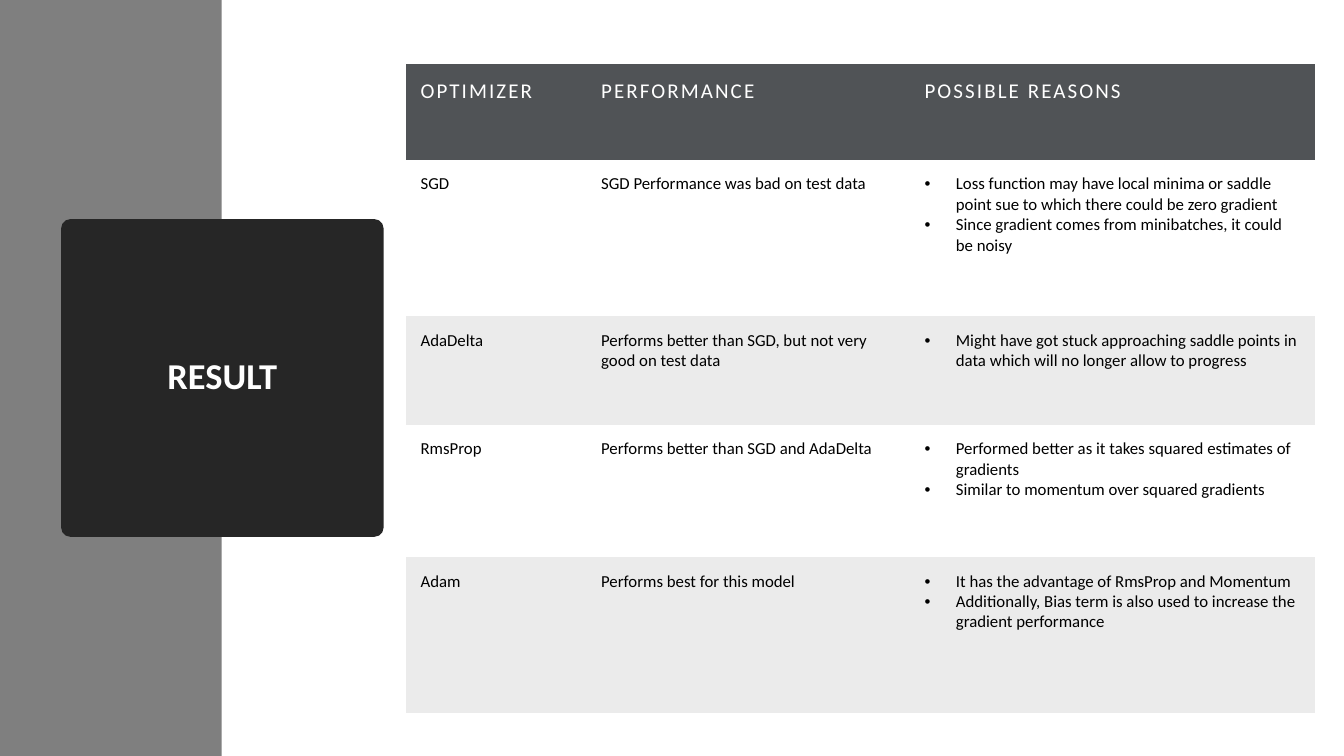
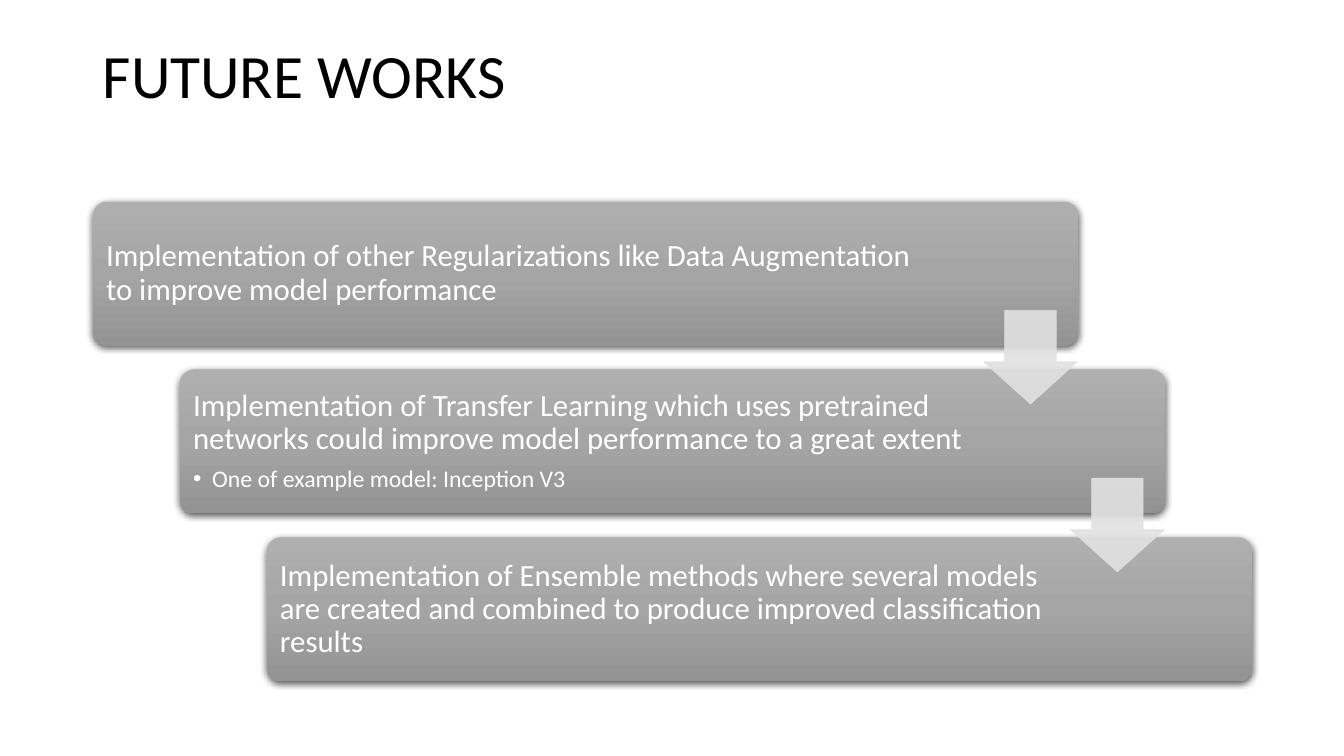
"""Builds the optimizer result table and the future works staircase."""
from lxml.etree import SubElement
from pptx import Presentation
from pptx.dml.color import RGBColor
from pptx.enum.shapes import MSO_SHAPE
from pptx.enum.text import MSO_ANCHOR, PP_ALIGN
from pptx.oxml.ns import qn
from pptx.util import Cm, Pt

RECT = MSO_SHAPE.RECTANGLE
ROUND = MSO_SHAPE.ROUNDED_RECTANGLE
ARROW = MSO_SHAPE.DOWN_ARROW
TOP, MIDDLE = MSO_ANCHOR.TOP, MSO_ANCHOR.MIDDLE
LEFT, CENTER = PP_ALIGN.LEFT, PP_ALIGN.CENTER

FONT = "Calibri"
PLAIN_TABLE = "{2D5ABB26-0587-4C30-8999-92F81FD0307C}"
COLORS = {
    "white": "FFFFFF", "black": "000000", "band": "7F7F7F", "panel": "262626",
    "header": "505356", "stripe": "EBEBEB", "arrow": "E1E1E1",
}
STEP_GRADIENT = [(0, "AFAFAF"), (50, "A5A5A5"), (100, "939393")]

HEADERS = ["OPTIMIZER", "PERFORMANCE", "POSSIBLE REASONS"]
RESULTS = [
    ("SGD", "SGD Performance was bad on test data", [
        "Loss function may have local minima or saddle point sue to which there could be zero gradient",
        "Since gradient comes from minibatches, it could be noisy"]),
    ("AdaDelta", "Performs better than SGD, but not very good on test data", [
        "Might have got stuck approaching saddle points in data which will no longer allow to progress"]),
    ("RmsProp", "Performs better than SGD and AdaDelta", [
        "Performed better as it takes squared estimates of gradients",
        "Similar to momentum over squared gradients"]),
    ("Adam", "Performs best for this model", [
        "It has the advantage of RmsProp and Momentum",
        "Additionally, Bias term is also used to increase the gradient performance"]),
]
COL_WIDTHS = [4.55, 8.15, 10.19]
ROW_HEIGHTS = [2.41, 3.94, 2.74, 3.33, 3.94]

STEPS = [
    ("Implementation of other Regularizations like Data Augmentation to improve model performance", [], 3.96),
    ("Implementation of Transfer Learning which uses pretrained networks could improve model "
     "performance to a great extent", ["One of example model: Inception V3"], 4.8),
    ("Implementation of Ensemble methods where several models are created and combined to produce "
     "improved classification results", [], 4.8),
]
STEP_DX, STEP_DY = 2.19, 4.23


def rgb(name):
    return RGBColor.from_string(COLORS[name])


def add_run(p, text, size, color, bold=False, spacing=None):
    r = p.add_run()
    r.text = text
    r.font.name, r.font.size, r.font.bold = FONT, Pt(size), bold
    r.font.color.rgb = rgb(color)
    if spacing:
        r.font._element.set("spc", str(int(spacing * 100)))


def add_bullet(p, indent):
    pPr = p._p.get_or_add_pPr()
    pPr.set("marL", str(Cm(indent)))
    pPr.set("indent", str(-Cm(indent)))
    SubElement(pPr, qn("a:buFont")).set("typeface", "Arial")
    SubElement(pPr, qn("a:buChar")).set("char", "•")


def next_paragraph(tf, index):
    return tf.add_paragraph() if index else tf.paragraphs[0]


def set_margins(box, left, top, right, bottom):
    box.margin_left, box.margin_top = Cm(left), Cm(top)
    box.margin_right, box.margin_bottom = Cm(right), Cm(bottom)


def add_shape(slide, kind, x, y, w, h, color=None, adjustments=()):
    s = slide.shapes.add_shape(kind, Cm(x), Cm(y), Cm(w), Cm(h))
    s.shadow.inherit = False
    s.line.fill.background()
    if color:
        s.fill.solid()
        s.fill.fore_color.rgb = rgb(color)
    for i, value in enumerate(adjustments):
        s.adjustments[i] = value
    return s


def add_title(tf, text, size, color, anchor, align, bold=False):
    tf.word_wrap, tf.vertical_anchor = True, anchor
    p = tf.paragraphs[0]
    p.alignment, p.line_spacing = align, 0.9
    add_run(p, text, size, color, bold)


def fill_gradient(s, stops):
    s.fill.gradient()
    s.fill.gradient_angle = 270
    gs_list = s._element.spPr.find(".//" + qn("a:gsLst"))
    gs_list.clear()
    for position, color in stops:
        gs = SubElement(gs_list, qn("a:gs"), pos=str(position * 1000))
        SubElement(gs, qn("a:srgbClr"), val=color)


def add_shadow(s):
    effects = s._element.spPr.find(qn("a:effectLst"))
    shadow = SubElement(effects, qn("a:outerShdw"), blurRad=str(Pt(4.5)),
                        dist=str(Pt(1.5)), dir="5400000", algn="ctr", rotWithShape="0")
    color = SubElement(shadow, qn("a:srgbClr"), val=COLORS["black"])
    SubElement(color, qn("a:alpha"), val="63000")


def set_alpha(s, percent):
    for color in s._element.spPr.iter(qn("a:srgbClr")):
        SubElement(color, qn("a:alpha"), val=str(percent * 1000))


def fill_cell(cell, content, size, color, fill=None, spacing=None):
    set_margins(cell, 0.36, 0.36, 0.36, 0.36)
    if fill:
        cell.fill.solid()
        cell.fill.fore_color.rgb = rgb(fill)
    else:
        cell.fill.background()
    bulleted = isinstance(content, list)
    for i, text in enumerate(content if bulleted else [content]):
        p = next_paragraph(cell.text_frame, i)
        if bulleted:
            add_bullet(p, 0.79)
        add_run(p, text, size, color, spacing=spacing)


def add_results_table(slide, x, y):
    frame = slide.shapes.add_table(len(ROW_HEIGHTS), len(COL_WIDTHS), Cm(x), Cm(y),
                                   Cm(sum(COL_WIDTHS)), Cm(sum(ROW_HEIGHTS)))
    table = frame.table
    table._tbl.tblPr.find(qn("a:tableStyleId")).text = PLAIN_TABLE
    for column, width in zip(table.columns, COL_WIDTHS):
        column.width = Cm(width)
    for row, height in zip(table.rows, ROW_HEIGHTS):
        row.height = Cm(height)
    for c, text in enumerate(HEADERS):
        fill_cell(table.cell(0, c), text, 15, "white", "header", 1.5)
    for r, result in enumerate(RESULTS, 1):
        for c, content in enumerate(result):
            fill_cell(table.cell(r, c), content, 12, "black", None if r % 2 else "stripe")


def add_step(slide, x, y, text, examples, right_margin):
    s = add_shape(slide, ROUND, x, y, 24.84, 3.63, adjustments=[0.1])
    fill_gradient(s, STEP_GRADIENT)
    add_shadow(s)
    tf = s.text_frame
    tf.word_wrap, tf.vertical_anchor = True, MIDDLE
    set_margins(tf, 0.23, 0.23, right_margin, 0.23)
    for i, line in enumerate([text] + examples):
        p = next_paragraph(tf, i)
        p.alignment, p.line_spacing = LEFT, 0.9
        if i:
            p.space_before = Pt(7.7)
            add_bullet(p, 0.48)
        add_run(p, line, 17 if i else 22, "white")


def add_step_arrow(slide, x, y):
    s = add_shape(slide, ARROW, x, y, 2.36, 2.36, "arrow", [0.55, 0.45])
    s.adjustments[0], s.adjustments[1] = 0.55, 0.45
    s.line.color.rgb = rgb("arrow")
    s.line.width = Pt(0.5)
    set_alpha(s, 90)


def build_result(slide):
    add_shape(slide, RECT, 0, 0, 5.59, 19.05, "band")
    panel = add_shape(slide, ROUND, 1.54, 5.52, 8.13, 8.01, "panel", [0.03])
    add_title(panel.text_frame, "RESULT", 26, "white", MIDDLE, CENTER, bold=True)
    add_results_table(slide, 10.24, 1.61)


def build_future_works(slide):
    title = slide.shapes.add_textbox(Cm(2.34), Cm(1.02), Cm(29.21), Cm(3.68))
    add_title(title.text_frame, "FUTURE WORKS", 44, "black", TOP, LEFT)
    for i, step in enumerate(STEPS):
        add_step(slide, 2.34 + i * STEP_DX, 5.08 + i * STEP_DY, *step)
    for i in range(len(STEPS) - 1):
        add_step_arrow(slide, 24.79 + i * STEP_DX, 7.82 + i * STEP_DY)


def main():
    prs = Presentation()
    prs.slide_width, prs.slide_height = Cm(33.87), Cm(19.05)
    for build in (build_result, build_future_works):
        build(prs.slides.add_slide(prs.slide_layouts[6]))
    prs.save("out.pptx")


if __name__ == "__main__":
    main()
